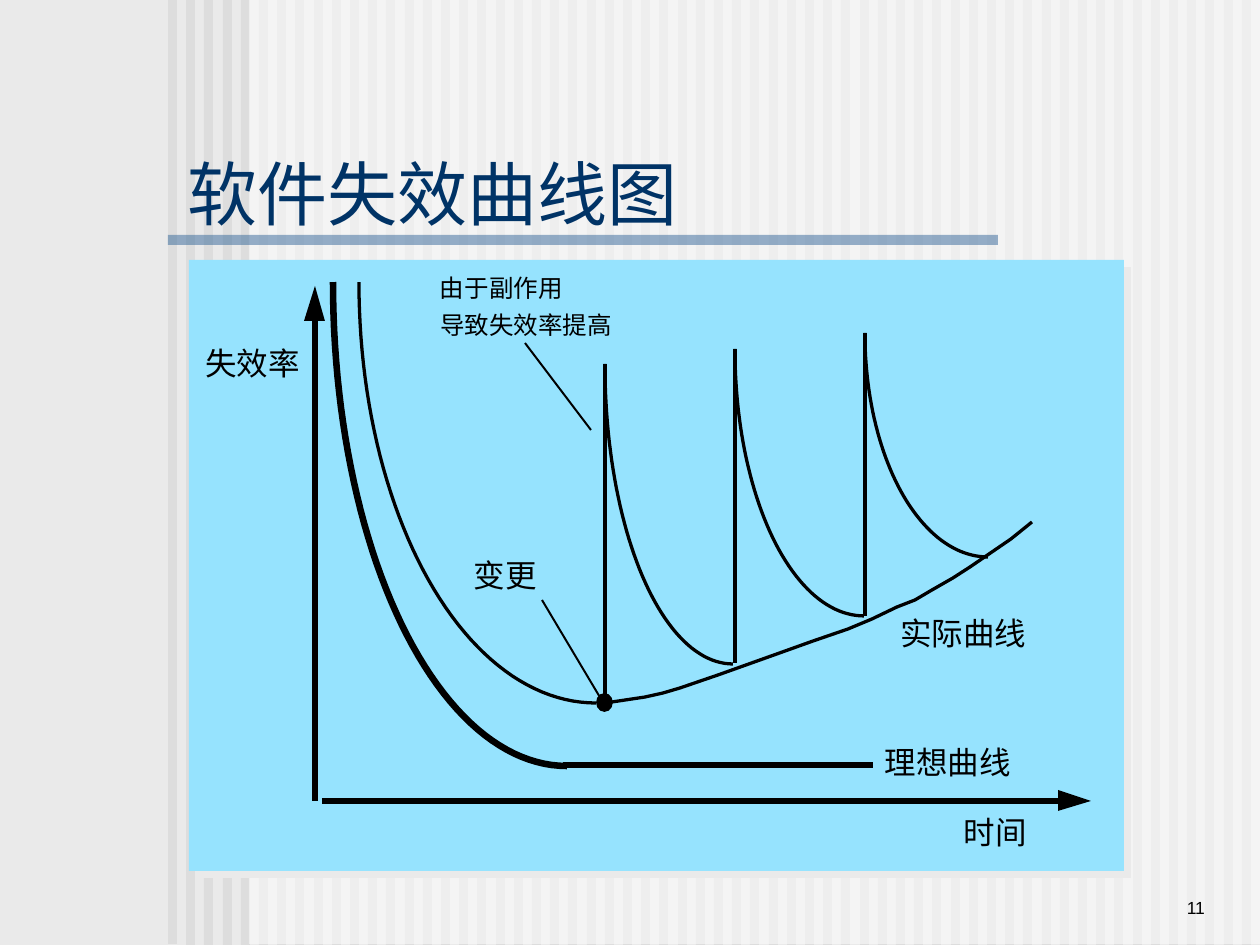
from math import cos, pi, sin

from lxml.etree import SubElement
from pptx import Presentation
from pptx.dml.color import RGBColor
from pptx.enum.shapes import MSO_CONNECTOR as Connector, MSO_SHAPE as Preset
from pptx.enum.text import MSO_ANCHOR as Anchor, PP_ALIGN as Align
from pptx.oxml.ns import qn
from pptx.util import Pt

SCALE = 914400 / 126
COLORS = {
    "page": "EAEAEA", "stripe": "DDDDDD", "white": "FFFFFF", "rule": "336699",
    "panel": "96E3FE", "title": "003366", "ink": "000000",
}
CJK = "Noto Sans CJK SC"
THICK, MEDIUM, THIN = 3.75, 1.87, 1.13

SPIKES = [  # curve left, top, right, bottom; foot of the vertical line
    (605, 364, 733, 664, 699),
    (735, 349, 864, 616, 663),
    (865, 333, 988, 557, 616),
]
ACTUAL_RISE = [
    (605, 703), (645, 697), (663, 693), (680, 688), (718, 675), (774, 655),
    (813, 641), (848, 629), (872, 619), (897, 607), (915, 600), (932, 590),
    (953, 578), (970, 567), (989, 554), (1011, 539), (1032, 522),
]
LABELS = [  # text, left, top, width, height, size
    ("理想曲线", 885, 743, 126, 38, 18),
    ("变更", 474, 556, 63, 38, 18),
    ("实际曲线", 900, 614, 126, 38, 18),
    ("失效率", 205, 344, 95, 38, 18),
    ("时间", 964, 813, 63, 38, 18),
    ("由于副作用", 440, 273, 123, 29, 14),
    ("导致失效率提高", 440, 310, 172, 29, 14),
]


def emu(px):
    return round(px * SCALE)


def rgb(name):
    return RGBColor.from_string(COLORS[name])


def paint(shape, fill=None, alpha=None):
    """Give a solid fill, with alpha in percent, or none; no shadow."""
    shape.shadow.inherit = False
    if fill is None:
        shape.fill.background()
        return
    shape.fill.solid()
    shape.fill.fore_color.rgb = rgb(fill)
    if alpha:
        color = shape._element.spPr.find(qn("a:solidFill"))[0]
        SubElement(color, qn("a:alpha"), val=str(alpha * 1000))


def add_block(page, left, top, width, height, fill, alpha=None, preset=Preset.RECTANGLE):
    shape = page.shapes.add_shape(preset, *map(emu, (left, top, width, height)))
    paint(shape, fill, alpha)
    shape.line.fill.background()
    return shape


def add_panel_shadow(panel):
    effects = panel._element.spPr.find(qn("a:effectLst"))
    shadow = SubElement(effects, qn("a:outerShdw"), dist=str(Pt(5.7)),
                        dir="2700000", algn="ctr", rotWithShape="0")
    SubElement(shadow, qn("a:srgbClr"), val=COLORS["page"])


def add_line(page, x1, y1, x2, y2, width):
    line = page.shapes.add_connector(Connector.STRAIGHT, *map(emu, (x1, y1, x2, y2)))
    line.line.color.rgb = rgb("ink")
    line.line.width = Pt(width)
    SubElement(line._element.spPr, qn("a:effectLst"))


def add_outline(page, points, width=None):
    """Open stroke of the given width, or a filled polygon without one."""
    start, *rest = [(emu(x), emu(y)) for x, y in points]
    builder = page.shapes.build_freeform(*start, scale=1.0)
    builder.add_line_segments(rest, close=width is None)
    shape = builder.convert_to_shape()
    if width is None:
        paint(shape, "ink")
        shape.line.fill.background()
    else:
        paint(shape)
        shape.line.color.rgb = rgb("ink")
        shape.line.width = Pt(width)


def add_decay(page, left, top, right, bottom, width, steps=48):
    """Quarter ellipse falling from the top left to the bottom right."""
    angles = [pi / 2 * step / steps for step in range(steps + 1)]
    points = [(right - (right - left) * cos(angle), top + (bottom - top) * sin(angle))
              for angle in angles]
    add_outline(page, points, width)


def add_text(page, text, left, top, width, height, size, color="ink", font=CJK,
             inset=(0, 0), anchor=Anchor.MIDDLE, align=Align.LEFT):
    box = page.shapes.add_textbox(*map(emu, (left, top, width, height)))
    across, down = map(emu, inset)
    frame_format = {
        "word_wrap": False, "vertical_anchor": anchor,
        "margin_left": across, "margin_right": across,
        "margin_top": down, "margin_bottom": down,
    }
    for name, value in frame_format.items():
        setattr(box.text_frame, name, value)
    para = box.text_frame.paragraphs[0]
    para.alignment = align
    span = para.add_run()
    span.text = text
    for name, value in {"size": Pt(size), "name": font}.items():
        setattr(span.font, name, value)
    span.font.color.rgb = rgb(color)
    SubElement(span._r.get_or_add_rPr(), qn("a:ea"), typeface=CJK)


def add_backdrop(page):
    page.background.fill.solid()
    page.background.fill.fore_color.rgb = rgb("page")
    for index in range(60):
        add_block(page, 168 + round(index * 18.2), 0 if index else -1, 9, 945, "stripe")
    add_block(page, 249, -1, 1011, 945, "white", alpha=50)
    add_block(page, 168, 235, 830, 10, "rule", alpha=50)


def add_axes(page):
    add_outline(page, [(315, 286), (325, 321), (304, 321)])
    add_line(page, 315, 321, 315, 801, THICK)
    add_outline(page, [(1091, 801), (1058, 811), (1058, 790)])
    add_line(page, 322, 801, 1058, 801, THICK)


def add_curves(page):
    add_decay(page, 333, 282, 567, 766, THICK)
    add_line(page, 563, 765, 873, 765, THICK)
    add_decay(page, 359, 282, 596, 703, MEDIUM)
    for left, top, right, bottom, foot in SPIKES:
        add_line(page, left, foot, left, top, MEDIUM)
        add_decay(page, left, top, right, bottom, MEDIUM)
    add_outline(page, ACTUAL_RISE, MEDIUM)
    dot = add_block(page, 597, 694, 15, 17, "ink", preset=Preset.OVAL)
    dot.line.color.rgb = rgb("ink")
    dot.line.width = Pt(1)


def main():
    deck = Presentation()
    deck.slide_width, deck.slide_height = emu(1260), emu(945)
    page = deck.slides.add_slide(deck.slide_layouts[6])
    add_backdrop(page)
    add_text(page, "11", 1039, 861, 179, 63, 10, font="Arial", inset=(13, 6),
             anchor=Anchor.BOTTOM, align=Align.RIGHT)
    add_panel_shadow(add_block(page, 189, 260, 935, 611, "panel"))
    add_text(page, "软件失效曲线图", 179, 147, 513, 92, 40, "title", "Arial", (9, 4))
    add_axes(page)
    add_curves(page)
    for label in LABELS:
        add_text(page, *label)
    add_line(page, 542, 600, 601, 699, THIN)
    add_line(page, 591, 430, 525, 343, THIN)
    deck.save("out.pptx")


if __name__ == "__main__":
    main()
